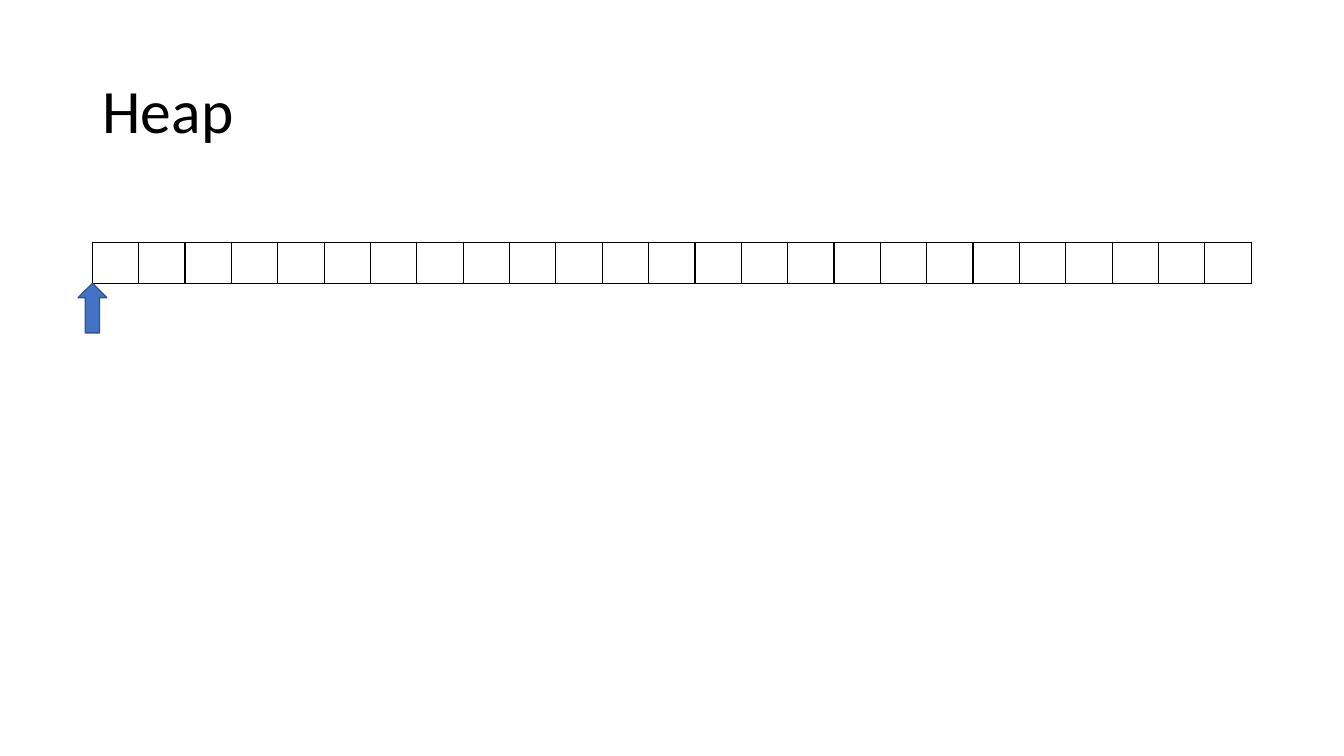
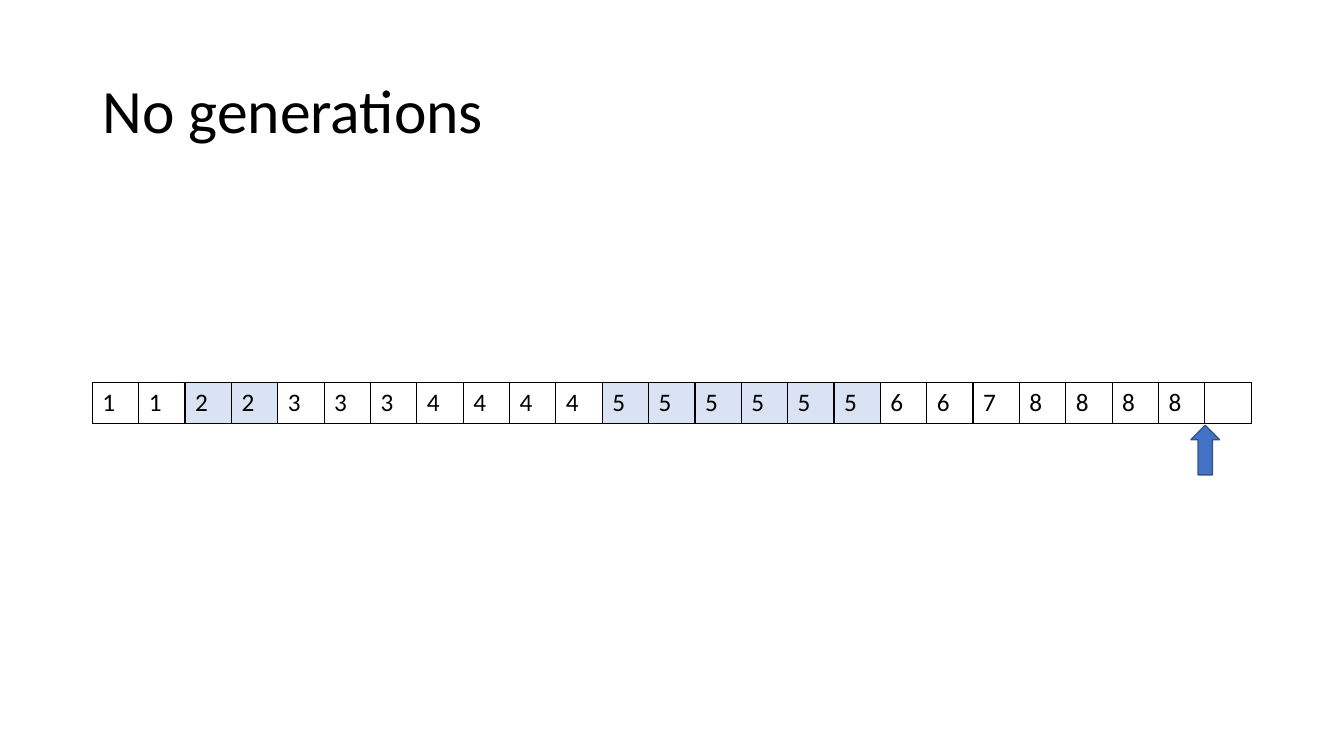
from lxml import etree
from pptx import Presentation
from pptx.dml.color import RGBColor
from pptx.enum.shapes import MSO_SHAPE
from pptx.enum.text import MSO_ANCHOR, MSO_AUTO_SIZE, PP_ALIGN
from pptx.oxml.ns import qn
from pptx.util import Pt

COLORS = {"text": "000000", "paper": "FFFFFF", "shade": "DAE3F3",
          "arrow": "4472C4", "outline": "325491"}
FONT = "Calibri"
LEFT, WIDTH = 66, 828
SLOTS = 25
SLOT_WIDTH = WIDTH / SLOTS
ROW_HEIGHT = 29.2
ARROW_WIDTH, ARROW_HEIGHT = 20.4, 35.4
SHADED = {"2", "5"}

SLIDES = [
    {"title": "Heap", "table_top": 144, "arrow_top": 202.4, "values": ""},
    {"title": "No generations", "table_top": 244, "arrow_top": 303.8,
     "values": "112233344445555556678888"},
]


def color(name):
    return RGBColor.from_string(COLORS[name])


def set_borders(cell, sides):
    properties = cell._tc.get_or_add_tcPr()
    for index, side in enumerate("LRTB"):
        line = etree.Element(qn(f"a:ln{side}"), w=str(Pt(1)))
        if side in sides:
            fill = etree.SubElement(line, qn("a:solidFill"))
            etree.SubElement(fill, qn("a:srgbClr"), val=COLORS["text"])
        else:
            etree.SubElement(line, qn("a:noFill"))
        properties.insert(index, line)


deck = Presentation()
deck.slide_width, deck.slide_height = Pt(960), Pt(540)

for content in SLIDES:
    page = deck.slides.add_slide(deck.slide_layouts[5])
    title = page.shapes.title
    title.left, title.top = Pt(LEFT), Pt(28.8)
    title.width, title.height = Pt(WIDTH), Pt(104.4)
    title.text_frame.text = content["title"]
    title.text_frame.auto_size = MSO_AUTO_SIZE.NONE
    title.text_frame.vertical_anchor = MSO_ANCHOR.MIDDLE
    para = title.text_frame.paragraphs[0]
    para.alignment = PP_ALIGN.LEFT
    para.line_spacing = 0.9
    para.font.name, para.font.size = FONT, Pt(44)
    para.font.color.rgb = color("text")

    table = page.shapes.add_table(
        2, SLOTS, Pt(LEFT), Pt(content["table_top"]),
        Pt(WIDTH), Pt(2 * ROW_HEIGHT)).table
    table.first_row = table.horz_banding = False
    for row in table.rows:
        row.height = Pt(ROW_HEIGHT)
    for column in table.columns:
        column.width = Pt(SLOT_WIDTH)
    table.cell(0, 0).merge(table.cell(0, SLOTS - 1))

    for slot in range(SLOTS):
        header, cell = table.cell(0, slot), table.cell(1, slot)
        value = content["values"][slot:slot + 1]
        header.fill.background()
        set_borders(header, "B")
        if value in SHADED:
            cell.fill.solid()
            cell.fill.fore_color.rgb = color("shade")
        else:
            cell.fill.background()
        set_borders(cell, "LRTB")
        cell.text = value
        para = cell.text_frame.paragraphs[0]
        para.font.name, para.font.size = FONT, Pt(18)
        para.font.color.rgb = color("text")

    next_free = LEFT + len(content["values"]) * SLOT_WIDTH
    arrow = page.shapes.add_shape(
        MSO_SHAPE.UP_ARROW, Pt(next_free - ARROW_WIDTH / 2),
        Pt(content["arrow_top"]), Pt(ARROW_WIDTH), Pt(ARROW_HEIGHT))
    arrow.shadow.inherit = False
    arrow.fill.solid()
    arrow.fill.fore_color.rgb = color("arrow")
    arrow.line.color.rgb = color("outline")
    arrow.line.width = Pt(1)

deck.save("out.pptx")
